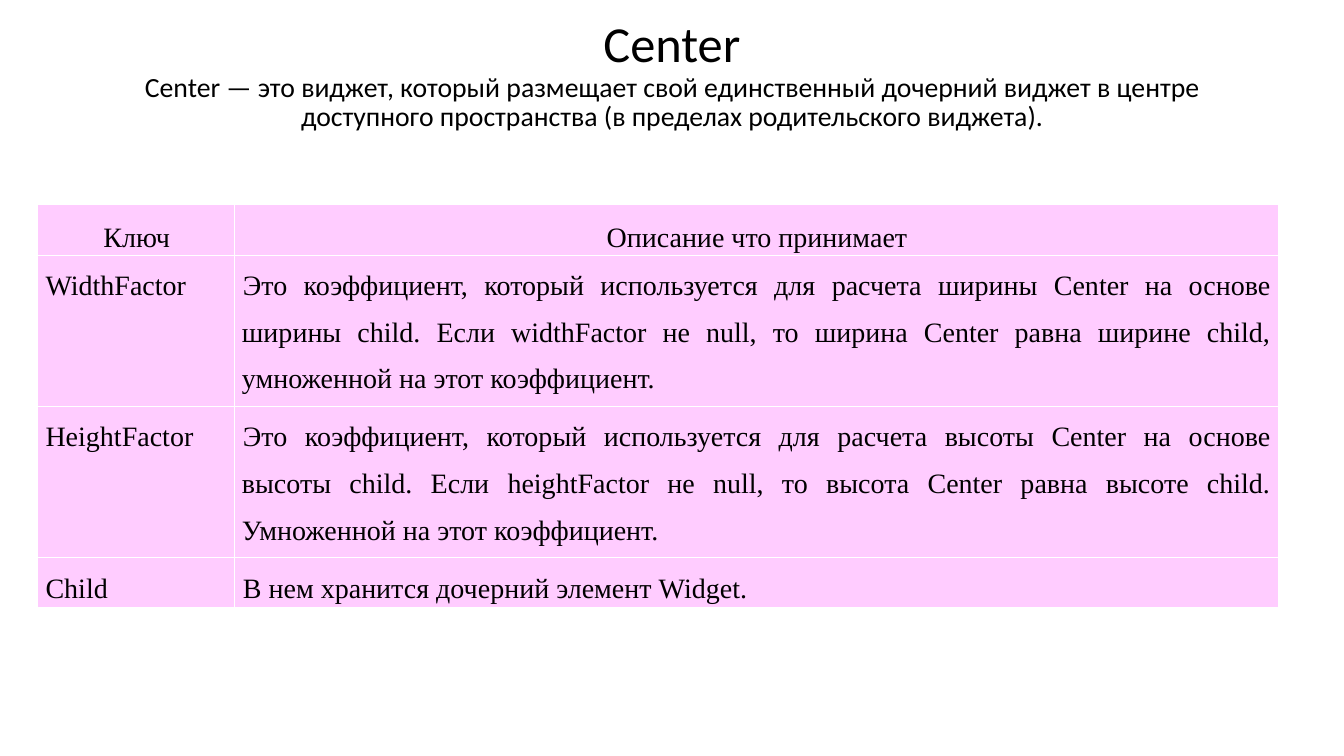
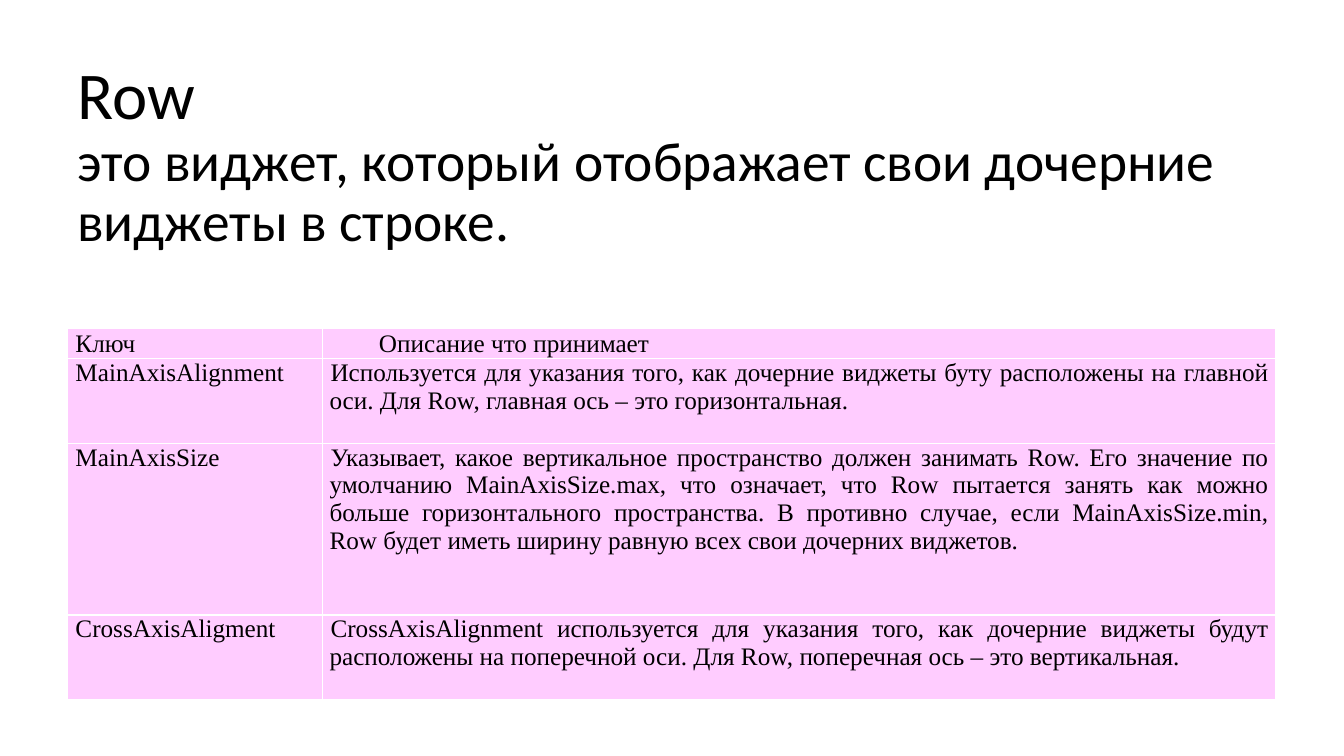
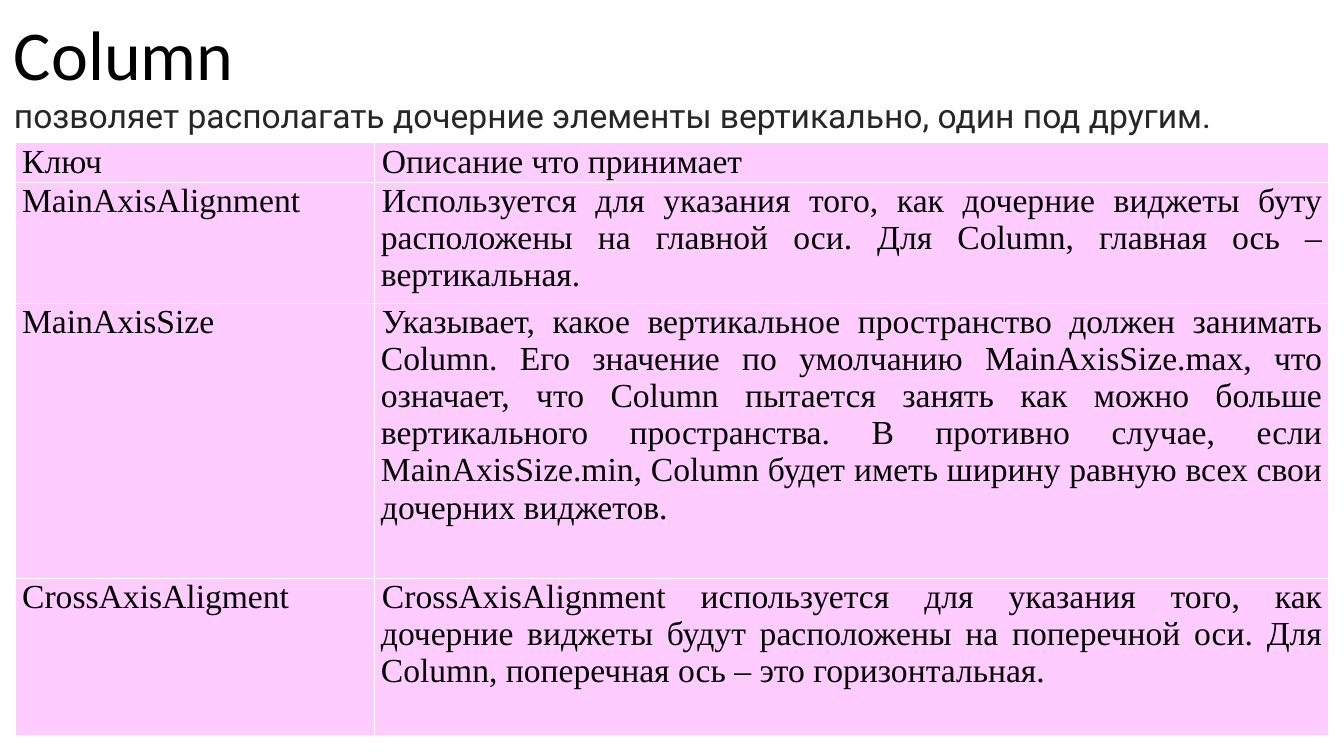
from dataclasses import dataclass

from lxml.etree import SubElement
from pptx import Presentation
from pptx.dml.color import RGBColor
from pptx.enum.text import MSO_ANCHOR as Anchor, PP_ALIGN as Align
from pptx.oxml.ns import qn
from pptx.util import Pt


@dataclass(frozen=True)
class Theme:
    black: RGBColor = RGBColor(0, 0, 0)
    gray: RGBColor = RGBColor(0x26, 0x26, 0x26)
    pink: RGBColor = RGBColor(0xFF, 0xCC, 0xFF)
    border: str = "FFFFFF"
    border_width: float = 1
    title_font: str = "Calibri"
    note_font: str = "Roboto"
    table_font: str = "Times New Roman"
    center_sizes: tuple[float, float, float] = (36, 19.8, 20)
    row_sizes: tuple[float, float, float] = (47.7, 39.6, 18)
    column_sizes: tuple[float, float, float] = (50, 24, 24)


THEME = Theme()
HEADER = ("Ключ", "Описание что принимает")
FIRST_LINE_INDENT = 0.72


@dataclass(frozen=True)
class Heading:
    name: str
    description: str
    box: tuple[float, float, float, float]
    align: Align
    line_spacing: float = 0.9
    bottom_inset: float = 3.6
    description_font: str = THEME.title_font
    description_color: RGBColor = THEME.black


@dataclass(frozen=True)
class KeyTable:
    left: float
    top: float
    columns: tuple[float, float]
    heights: tuple[float, ...]
    rows: list[tuple[str, str]]
    header_align: Align = Align.JUSTIFY
    header_indent: float = FIRST_LINE_INDENT
    line_spacing: float = 1.0
    inset: float = 5.04


@dataclass(frozen=True)
class WidgetPage:
    heading: Heading
    table: KeyTable
    sizes: tuple[float, float, float]


def axis_rows(widget: str, direction: str, main_axis: str, cross_axis: str) -> list[tuple[str, str]]:
    return [
        ("MainAxisAlignment",
         "Используется для указания того, как дочерние виджеты буту расположены на главной оси. "
         f"Для {widget}, главная ось – {main_axis}."),
        ("MainAxisSize",
         f"Указывает, какое вертикальное пространство должен занимать {widget}. "
         f"Его значение по умолчанию MainAxisSize.max, что означает, что {widget} пытается занять "
         f"как можно больше {direction} пространства. В противно случае, если MainAxisSize.min, "
         f"{widget} будет иметь ширину равную всех свои дочерних виджетов."),
        ("CrossAxisAligment",
         "CrossAxisAlignment используется для указания того, как дочерние виджеты будут расположены "
         f"на поперечной оси. Для {widget}, поперечная ось – это {cross_axis}."),
    ]


CENTER_ROWS = [
    ("WidthFactor",
     "Это коэффициент, который используется для расчета ширины Center на основе ширины child. "
     "Если widthFactor не null, то ширина Center равна ширине child, умноженной на этот коэффициент."),
    ("HeightFactor",
     "Это коэффициент, который используется для расчета высоты Center на основе высоты child. "
     "Если heightFactor не null, то высота Center равна высоте child. Умноженной на этот коэффициент."),
    ("Child", "В нем хранится дочерний элемент Widget."),
]

PAGES = [
    WidgetPage(
        Heading("Center",
                "Center — это виджет, который размещает свой единственный дочерний виджет "
                "в центре доступного пространства (в пределах родительского виджета).",
                (66, 24, 828, 82), Align.CENTER, bottom_inset=25.3),
        KeyTable(26.8, 146.2, (141, 745.2), (33, 100, 100, 33), CENTER_ROWS,
                 header_align=Align.CENTER, line_spacing=1.5),
        THEME.center_sizes),
    WidgetPage(
        Heading("Row", "это виджет, который отображает свои дочерние виджеты в строке.",
                (48.2, 82, 828, 104.4), Align.LEFT, bottom_inset=47.1),
        KeyTable(48.2, 234.7, (182.2, 681.1), (17, 60.5, 122.4, 60.5),
                 axis_rows("Row", "горизонтального", "это горизонтальная", "вертикальная"),
                 header_indent=35.3),
        THEME.row_sizes),
    WidgetPage(
        Heading("Column", "позволяет располагать дочерние элементы вертикально, один под другим.",
                (2.9, -21.6, 954.7, 146.9), Align.JUSTIFY, line_spacing=1.0,
                description_font=THEME.note_font, description_color=THEME.gray),
        KeyTable(10.8, 101.5, (257, 681.1), (28, 78, 196.6, 112.3),
                 axis_rows("Column", "вертикального", "вертикальная", "горизонтальная"),
                 inset=4.32),
        THEME.column_sizes),
]


def style_para(para, font: str, size: float, color: RGBColor, align: Align, spacing: float) -> None:
    para.alignment = align
    para.line_spacing = spacing
    for span in para.runs:
        span.font.name = font
        span.font.size = Pt(size)
        span.font.color.rgb = color


def draw_heading(page, heading: Heading, sizes: tuple[float, float, float]) -> None:
    box = page.shapes.add_textbox(*(Pt(value) for value in heading.box))
    frame = box.text_frame
    frame.word_wrap = True
    frame.vertical_anchor = Anchor.MIDDLE
    frame.margin_bottom = Pt(heading.bottom_inset)
    frame.text = f"{heading.name}\n{heading.description}"
    name, description = frame.paragraphs
    style_para(name, THEME.title_font, sizes[0], THEME.black, heading.align, heading.line_spacing)
    style_para(description, heading.description_font, sizes[1], heading.description_color,
               heading.align, heading.line_spacing)


def draw_borders(cell) -> None:
    properties = cell._tc.get_or_add_tcPr()
    for side in ("lnL", "lnR", "lnT", "lnB"):
        line = SubElement(properties, qn(f"a:{side}"), w=str(Pt(THEME.border_width)))
        SubElement(SubElement(line, qn("a:solidFill")), qn("a:srgbClr"), val=THEME.border)


def fill_cell(cell, text: str, size: float, table: KeyTable, is_header: bool, indent: float) -> None:
    draw_borders(cell)
    cell.fill.solid()
    cell.fill.fore_color.rgb = THEME.pink
    cell.margin_left = cell.margin_right = Pt(table.inset)
    cell.margin_top = cell.margin_bottom = Pt(0)
    cell.vertical_anchor = Anchor.MIDDLE if is_header else Anchor.TOP
    cell.text_frame.text = text
    para = cell.text_frame.paragraphs[0]
    para._p.get_or_add_pPr().set("indent", str(Pt(indent)))
    align = table.header_align if is_header else Align.JUSTIFY
    style_para(para, THEME.table_font, size, THEME.black, align, table.line_spacing)


def draw_table(page, table: KeyTable, size: float) -> None:
    rows = [HEADER, *table.rows]
    frame = page.shapes.add_table(len(rows), len(HEADER), Pt(table.left), Pt(table.top),
                                  Pt(sum(table.columns)), Pt(sum(table.heights)))
    grid = frame.table
    grid.first_row = False
    grid.horz_banding = False
    for column, width in zip(grid.columns, table.columns):
        column.width = Pt(width)
    for row_index, (row, height) in enumerate(zip(rows, table.heights)):
        grid.rows[row_index].height = Pt(height)
        for column_index, text in enumerate(row):
            is_header = row_index == 0
            indent = table.header_indent if is_header and column_index == 1 else FIRST_LINE_INDENT
            fill_cell(grid.cell(row_index, column_index), text, size, table, is_header, indent)


def main() -> None:
    deck = Presentation()
    deck.slide_width, deck.slide_height = Pt(960), Pt(540)
    for widget in PAGES:
        page = deck.slides.add_slide(deck.slide_layouts[6])
        draw_heading(page, widget.heading, widget.sizes)
        draw_table(page, widget.table, widget.sizes[2])
    deck.save("out.pptx")


if __name__ == "__main__":
    main()
